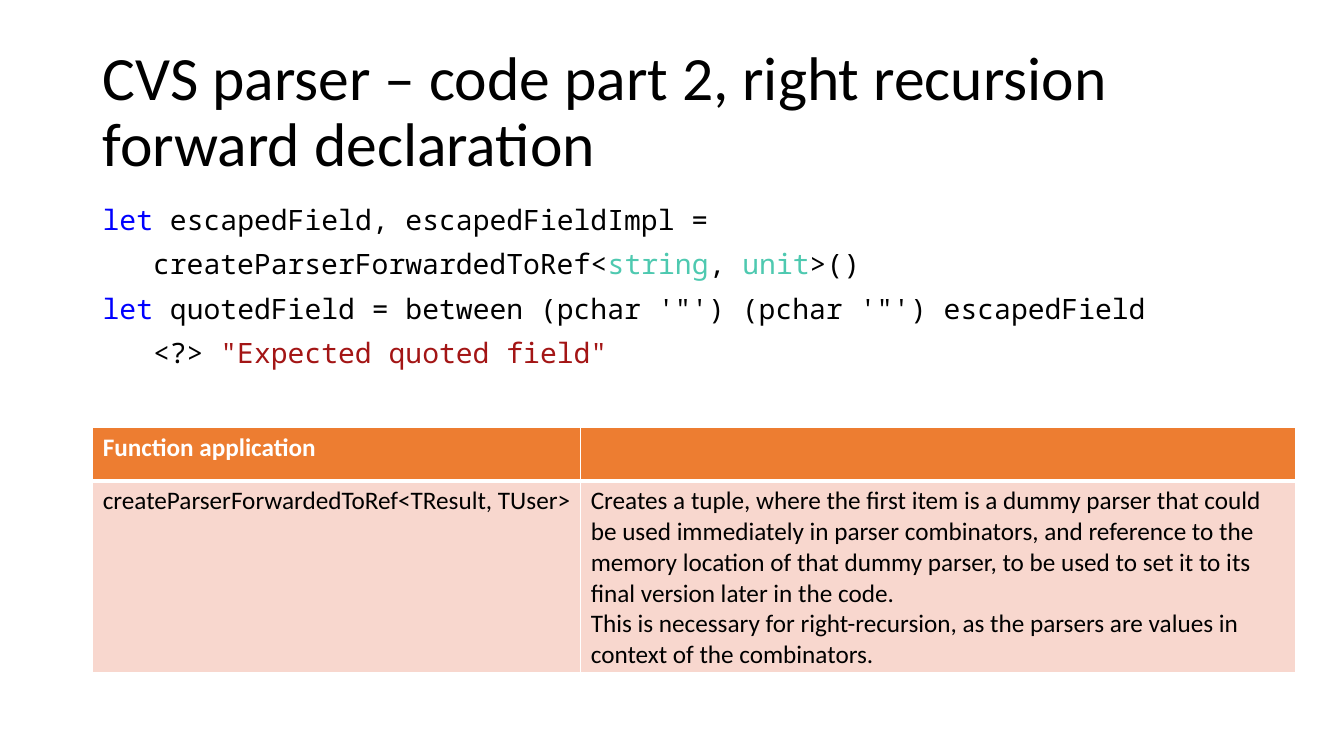
from lxml import etree
from pptx import Presentation
from pptx.dml.color import RGBColor
from pptx.enum.text import MSO_ANCHOR
from pptx.oxml.ns import qn
from pptx.util import Inches, Pt

MIDDLE, TOP = MSO_ANCHOR.MIDDLE, MSO_ANCHOR.TOP
SANS, MONO = "Calibri", "Noto Sans Mono"
COLORS = {
    "text": "000000",
    "keyword": "0000FF",
    "type": "4EC9B0",
    "string": "A31515",
    "header": "ED7D31",
    "row": "F8D7CE",
    "white": "FFFFFF",
}
CODE = [
    [("let", "keyword"), (" escapedField, escapedFieldImpl = ", "text")],
    [("\tcreateParserForwardedToRef<", "text"), ("string", "type"),
     (", ", "text"), ("unit", "type"), (">()", "text")],
    [("let", "keyword"),
     (" quotedField = between (pchar '\"') (pchar '\"') escapedField ", "text")],
    [("\t<?> ", "text"), ('"Expected quoted field"', "string")],
]
ROWS = [
    ["Function application", ""],
    ["createParserForwardedToRef<TResult, TUser>",
     "Creates a tuple, where the first item is a dummy parser that could be used "
     "immediately in parser combinators, and reference to the memory location of "
     "that dummy parser, to be used to set it to its final version later in the code.\n"
     "This is necessary for right-recursion, as the parsers are values in context "
     "of the combinators."],
]


def rgb(name):
    return RGBColor.from_string(COLORS[name])


def style_run(r, font, size, color, bold=False):
    r.font.name = font
    r.font.size = Pt(size)
    r.font.bold = bold
    r.font.color.rgb = rgb(color)


def add_text(s, box, lines, font, size, anchor, space=0):
    tf = s.shapes.add_textbox(*map(Inches, box)).text_frame
    tf.word_wrap = True
    tf.vertical_anchor = anchor
    for i, line in enumerate(lines):
        p = tf.add_paragraph() if i else tf.paragraphs[0]
        p.line_spacing = 0.9
        p.space_before = Pt(space)
        for text, color in line:
            r = p.add_run()
            r.text = text
            style_run(r, font, size, color)


def add_title(s, box):
    title = "CVS parser – code part 2, right recursion forward declaration"
    add_text(s, box, [[(title, "text")]], SANS, 44, MIDDLE)


def add_code(s, box):
    add_text(s, box, CODE, MONO, 20, TOP, space=10)


def set_borders(cell, bottom):
    tc_pr = cell._tc.get_or_add_tcPr()
    widths = {"a:lnL": 1, "a:lnR": 1, "a:lnT": 1, "a:lnB": bottom}
    for i, (tag, width) in enumerate(widths.items()):
        ln = etree.Element(qn(tag), w=str(Pt(width)))
        fill = etree.SubElement(ln, qn("a:solidFill"))
        etree.SubElement(fill, qn("a:srgbClr"), val=COLORS["white"])
        tc_pr.insert(i, ln)


def add_function_table(s, box):
    left, top, width, height = box
    table = s.shapes.add_table(2, 2, *map(Inches, box)).table
    name_width, header_height = 4.84, 0.53
    table.columns[0].width = Inches(name_width)
    table.columns[1].width = Inches(width - name_width)
    table.rows[0].height = Inches(header_height)
    table.rows[1].height = Inches(height - header_height)
    for i, row in enumerate(ROWS):
        header = i == 0
        for j, text in enumerate(row):
            cell = table.cell(i, j)
            cell.fill.solid()
            cell.fill.fore_color.rgb = rgb("header" if header else "row")
            set_borders(cell, 3 if header else 1)
            cell.text_frame.text = text
            for p in cell.text_frame.paragraphs:
                for r in p.runs:
                    style_run(r, SANS, 18, "white" if header else "text", header)


def main():
    prs = Presentation()
    prs.slide_width, prs.slide_height = Inches(13.33), Inches(7.5)
    s = prs.slides.add_slide(prs.slide_layouts[6])
    add_title(s, (0.92, 0.4, 11.5, 1.45))
    add_code(s, (0.92, 2, 11.5, 1.94))
    add_function_table(s, (0.92, 4.24, 11.93, 2.43))
    prs.save("out.pptx")


main()
